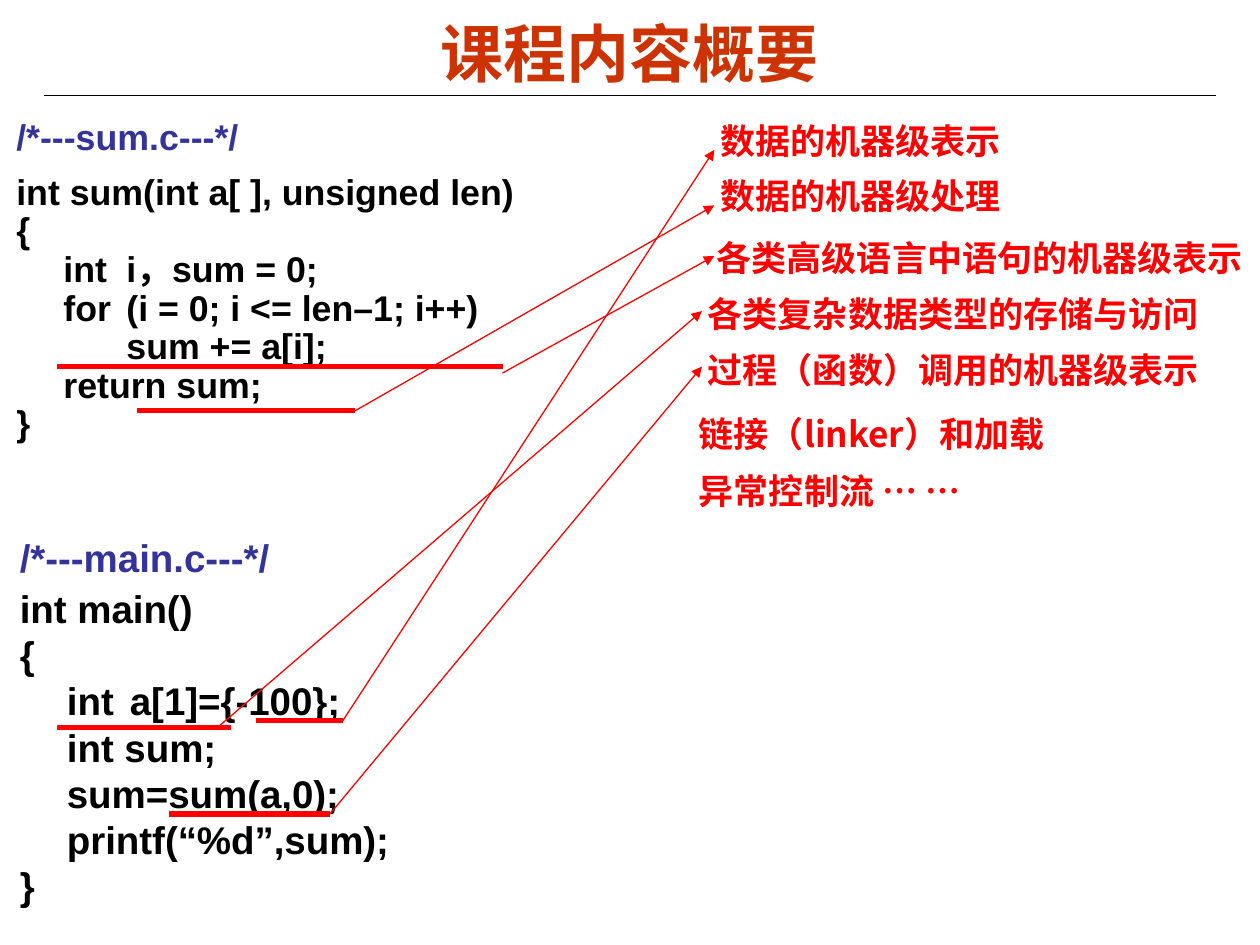
from lxml import etree
from pptx import Presentation
from pptx.dml.color import RGBColor
from pptx.enum import shapes, text
from pptx.oxml.ns import qn
from pptx import util as u

HUES = {"title": "CC3300", "note": "333399", "code": "000000", "mark": "FF0000"}
LATIN, HAN = "Arial", "Noto Sans CJK SC"
HANG = u.Cm(0.95)

SUM = [
    ("/*---sum.c---*/", "note", 0.9, 2.8),
    ("int sum(int a[ ], unsigned len)", "code", 1.05, 5.5),
    ("{", "code", 0.9, 0),
    ("\tint \ti，sum = 0;", "code", 0.9, 0),
    ("\tfor\t(i = 0; i <= len–1; i++)", "code", 0.9, 0),
    ("\t\tsum += a[i];", "code", 0.9, 0),
    ("\treturn sum;", "code", 0.9, 0),
    ("}", "code", 0.9, 0),
]
MAIN = [
    ("/*---main.c---*/", "note", 1, 2.8),
    ("int main()", "code", 1, 2.8),
    ("{", "code", 1, 0),
    ("\tint \ta[1]={-100};", "code", 1, 0),
    ("\tint sum; sum=sum(a,0);", "code", 1, 0),
    ("\tprintf(“%d”,sum);", "code", 1, 0),
    ("}", "code", 1, 0),
]
# label, label box (left, top, width), underline (left, right, y), arrow tail, arrow tip
TOPICS = [
    ("数据的机器级表示", (14.27, 2.29, 6.88), (5.16, 6.91, 14.53), (6.91, 14.53), (14.4, 3.02)),
    ("数据的机器级处理", (14.27, 3.4, 6.58), (2.77, 7.16, 8.28), (7.16, 8.28), (14.4, 4.14)),
    ("各类高级语言中语句的机器级表示", (14.2, 4.65, 11.46), (1.14, 10.13, 7.39), (10.13, 7.52), (14.4, 5.16)),
    ("各类复杂数据类型的存储与访问", (14.02, 5.77, 10.62), (1.14, 4.65, 14.66), (4.39, 14.66), (14.15, 6.27)),
    ("过程（函数）调用的机器级表示", (14.02, 6.91, 10.62), (3.4, 6.65, 16.41), (6.65, 16.41), (14.15, 7.39)),
]
EXTRAS = [("链接（linker）和加载", 8.2), ("异常控制流 … …", 9.35)]


def add_box(tree, left, top, width, height):
    """Add a wrapping text box and return its text frame."""
    frame = tree.add_textbox(*map(u.Cm, (left, top, width, height))).text_frame
    frame.word_wrap = True
    return frame


def style(para, words, size, hue, face, before=0):
    """Fill a paragraph and set its font and leading space."""
    para.text = words
    para.space_before = u.Pt(before)
    font = para.font
    font.size, font.bold, font.name = u.Pt(size), True, face
    font.color.rgb = RGBColor.from_string(HUES[hue])


def set_tabs(para):
    """Give a code paragraph its hanging indent and tab stops."""
    props = para._p.get_or_add_pPr()
    props.set("marL", str(HANG))
    props.set("indent", str(-HANG))
    stops = etree.SubElement(props, qn("a:tabLst"))
    for step in range(8):
        etree.SubElement(stops, qn("a:tab"), pos=str(u.Cm(2.54 * step)), algn="l")


def add_code(tree, box, lines, size):
    """Add a listing of source code."""
    frame = add_box(tree, *box)
    for row, (words, hue, pitch, before) in enumerate(lines):
        para = frame.add_paragraph() if row else frame.paragraphs[0]
        set_tabs(para)
        para.line_spacing = pitch
        style(para, words, size, hue, LATIN, before)


def add_line(tree, start, end, hue, width, head=False):
    """Add a straight line, with an arrowhead at its end if asked."""
    line = tree.add_connector(shapes.MSO_CONNECTOR.STRAIGHT, *map(u.Cm, start + end))
    line.line.color.rgb = RGBColor.from_string(HUES[hue])
    line.line.width = u.Pt(width)
    if head:
        etree.SubElement(line.line._get_or_add_ln(), qn("a:tailEnd"), type="triangle")
    etree.SubElement(line._element.spPr, qn("a:effectLst"))


def add_label(tree, words, box, face, before):
    """Add a red topic label."""
    frame = add_box(tree, *box, 1.12)
    frame.auto_size = text.MSO_AUTO_SIZE.SHAPE_TO_FIT_TEXT
    style(frame.paragraphs[0], words, 20, "mark", face, before)


def add_topic(tree, words, box, under, tail, tip):
    """Add a group of underline, arrow and label."""
    group = tree.add_group_shape().shapes
    left, right, level = under
    add_line(group, (left, level), (right, level), "mark", 3)
    add_line(group, tail, tip, "mark", 0.75, head=True)
    add_label(group, words, box, LATIN, 12.5)


def add_title(tree, words):
    """Add the centred title and the rule below it."""
    add_line(tree, (0.89, 1.93), (24.51, 1.93), "code", 0.75)
    frame = add_box(tree, 1.27, 0.28, 22.86, 1.55)
    frame.vertical_anchor = text.MSO_ANCHOR.MIDDLE
    para = frame.paragraphs[0]
    para.alignment = text.PP_ALIGN.CENTER
    style(para, words, 36, "title", HAN)


def main():
    """Build and save the slide."""
    deck = Presentation()
    deck.slide_width, deck.slide_height = u.Cm(25.4), u.Cm(19.05)
    tree = deck.slides.add_slide(deck.slide_layouts[6]).shapes
    add_title(tree, "课程内容概要")
    add_code(tree, (0.08, 2.29, 11.58, 7.87), SUM, 20.4)
    add_code(tree, (0.15, 10.64, 9.37, 7.87), MAIN, 22)
    for topic in TOPICS:
        add_topic(tree, *topic)
    for words, top in EXTRAS:
        add_label(tree, words, (13.84, top, 10.36), HAN, 2.5)
    deck.save("out.pptx")


if __name__ == "__main__":
    main()
